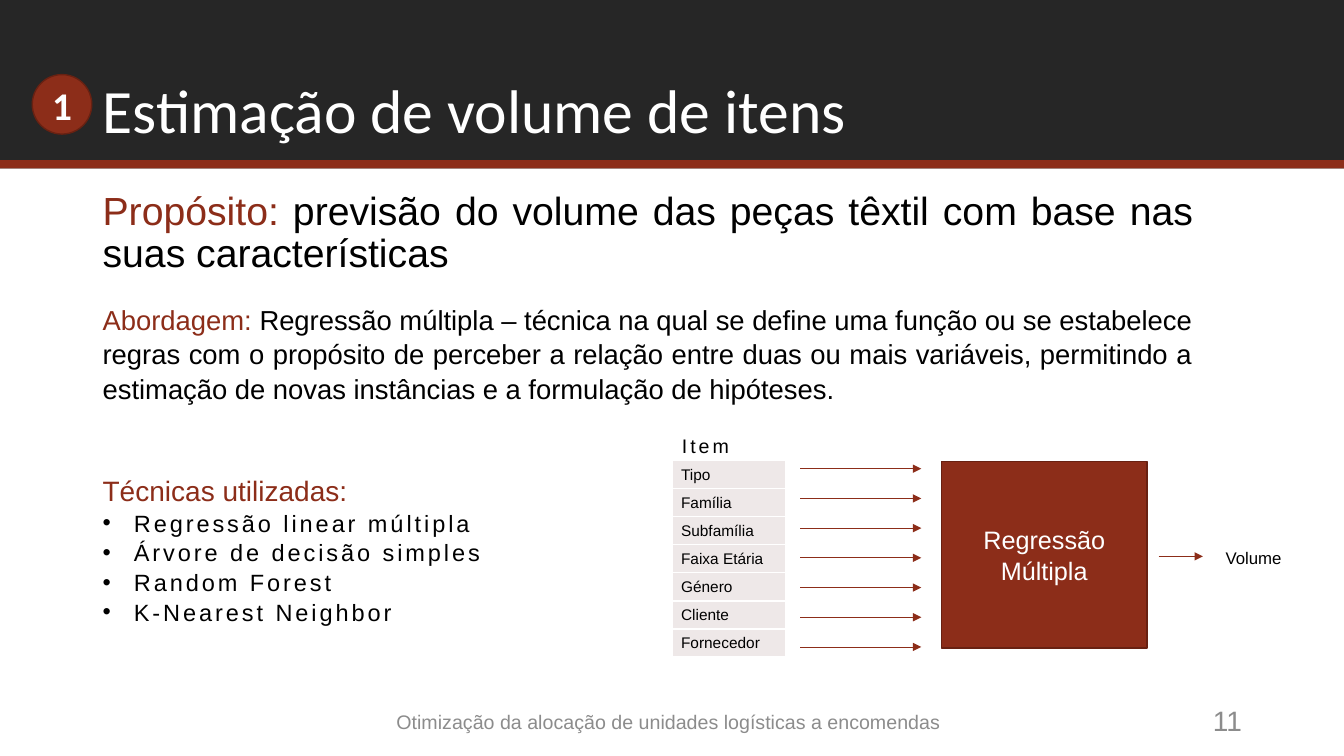
from lxml import etree
from pptx import Presentation
from pptx.dml.color import RGBColor
from pptx.enum.shapes import MSO_CONNECTOR, MSO_SHAPE
from pptx.enum.text import MSO_ANCHOR, PP_ALIGN
from pptx.oxml.ns import qn
from pptx.util import Inches, Pt

RECTANGLE, OVAL = MSO_SHAPE.RECTANGLE, MSO_SHAPE.OVAL
STRAIGHT = MSO_CONNECTOR.STRAIGHT
LEFT, CENTER, RIGHT, JUSTIFY = PP_ALIGN.LEFT, PP_ALIGN.CENTER, PP_ALIGN.RIGHT, PP_ALIGN.JUSTIFY
TOP, MIDDLE, BOTTOM = MSO_ANCHOR.TOP, MSO_ANCHOR.MIDDLE, MSO_ANCHOR.BOTTOM

BRICK, BRICK_EDGE, CHARCOAL = "8C2D19", "682112", "262626"
GRAY, PALE, BLACK, WHITE = "8C8C8C", "EEE8E8", "000000", "FFFFFF"

TECHNIQUES = ["Regressão linear múltipla", "Árvore de decisão simples",
              "Random Forest", "K-Nearest Neighbor"]
ITEM_FIELDS = ["Tipo", "Família", "Subfamília", "Faixa Etária",
               "Género", "Cliente", "Fornecedor"]


def color(value):
    return RGBColor.from_string(value)


class SlideBuilder:
    """Places styled elements on a slide divided into 100 columns and 100 rows."""

    def __init__(self, deck):
        self.slide = deck.slides.add_slide(deck.slide_layouts[6])
        self.shapes = self.slide.shapes
        self.column = deck.slide_width / 100
        self.row = deck.slide_height / 100

    def grid(self, left, top, width, height):
        return (round(left * self.column), round(top * self.row),
                round(width * self.column), round(height * self.row))

    def add_spans(self, para, spans, size, font="Arial", align=LEFT, line_spacing=None,
                  bold=False, tracking=None):
        """Fill a paragraph with (text, colour) spans that share one style."""
        para.alignment = align
        if line_spacing:
            para.line_spacing = line_spacing
        for text, shade in spans:
            span = para.add_run()
            span.text = text
            span.font.size = Pt(size)
            span.font.name = font
            span.font.bold = bold
            span.font.color.rgb = color(shade)
            if tracking:
                span._r.get_or_add_rPr().set("spc", str(round(tracking * 100)))

    def text(self, area, spans, size, anchor=TOP, wrap=True, **style):
        box = self.shapes.add_textbox(*self.grid(*area))
        box.text_frame.word_wrap = wrap
        box.text_frame.vertical_anchor = anchor
        self.add_spans(box.text_frame.paragraphs[0], spans, size, **style)
        return box

    def bullets(self, box, items, size, **style):
        for item in items:
            para = box.text_frame.add_paragraph()
            self.add_spans(para, [(item, BLACK)], size, **style)
            properties = para._p.get_or_add_pPr()
            properties.set("marL", str(Inches(0.31)))
            properties.set("indent", str(-Inches(0.31)))
            etree.SubElement(properties, qn("a:buFont")).set("typeface", "Arial")
            etree.SubElement(properties, qn("a:buChar")).set("char", "•")

    def shape(self, kind, area, fill, edge=None, label=None, size=18, **style):
        shape = self.shapes.add_shape(kind, *self.grid(*area))
        shape.shadow.inherit = False
        shape.fill.solid()
        shape.fill.fore_color.rgb = color(fill)
        if edge:
            shape.line.color.rgb = color(edge)
            shape.line.width = Pt(1)
        else:
            shape.line.fill.background()
        if label:
            shape.text_frame.vertical_anchor = MIDDLE
            self.add_spans(shape.text_frame.paragraphs[0], [(label, WHITE)], size,
                           align=CENTER, **style)

    def arrow(self, start, end, level):
        left, top, width, _ = self.grid(start, level, end - start, 0)
        arrow = self.shapes.add_connector(STRAIGHT, left, top, left + width, top)
        arrow.line.color.rgb = color(BRICK)
        arrow.line.width = Pt(0.5)
        properties = arrow._element.spPr
        outline = properties.find(qn("a:ln"))
        etree.SubElement(outline, qn("a:tailEnd")).set("type", "triangle")
        etree.SubElement(properties, qn("a:effectLst"))

    def list_table(self, area, labels, size):
        table = self.shapes.add_table(len(labels), 1, *self.grid(*area)).table
        table.first_row = table.horz_banding = False
        for index, label in enumerate(labels):
            cell = table.cell(index, 0)
            cell.fill.solid()
            cell.fill.fore_color.rgb = color(PALE)
            cell.vertical_anchor = BOTTOM
            cell.margin_left, cell.margin_bottom = Inches(0.09), Inches(0.05)
            cell.margin_top = cell.margin_right = Inches(0.01)
            self.add_spans(cell.text_frame.paragraphs[0], [(label, BLACK)], size)


def main():
    deck = Presentation()
    deck.slide_width, deck.slide_height = Inches(13.33), Inches(7.5)
    page = SlideBuilder(deck)

    # Header
    page.shape(RECTANGLE, (0, 0, 100, 22.27), CHARCOAL)
    page.text((6.9, 5.33, 86.25, 19.33), [("Estimação de volume de itens", WHITE)], 44,
              anchor=MIDDLE, font="Calibri", line_spacing=0.9)
    page.shape(RECTANGLE, (0, 21.2, 100, 1.07), BRICK)
    page.shape(OVAL, (2.4, 9.87, 4.43, 7.87), BRICK, BRICK_EDGE, "1", 28,
               font="Calibri", bold=True)

    # Purpose, approach and techniques
    page.text((6.9, 24.67, 82.6, 13.47),
              [("Propósito: ", BRICK),
               ("previsão do volume das peças têxtil com base nas suas características", BLACK)],
              28, align=JUSTIFY, line_spacing=0.9)
    page.text((6.9, 39.2, 82.6, 14.67),
              [("Abordagem: ", BRICK),
               ("Regressão múltipla – técnica na qual se define uma função ou se estabelece "
                "regras com o propósito de perceber a relação entre duas ou mais variáveis, "
                "permitindo a estimação de novas instâncias e a formulação de hipóteses.", BLACK)],
              19.6, align=JUSTIFY, line_spacing=1.05)
    techniques = page.text((6.9, 62, 30.08, 27.2), [("Técnicas utilizadas:", BRICK)], 20,
                           wrap=False)
    page.bullets(techniques, TECHNIQUES, 16.8, tracking=2.1, line_spacing=1.05)

    # Regression diagram
    page.text((50, 56.8, 8.48, 4.53), [("Item", BLACK)], 14, tracking=2.1)
    page.list_table((50, 60.93, 8.48, 26), ITEM_FIELDS, 11)
    for index in range(len(ITEM_FIELDS)):
        page.arrow(59.55, 68.55, 62 + 3.93 * index)
    page.shape(RECTANGLE, (70.05, 61.07, 15.3, 24.67), BRICK, BRICK_EDGE, "Regressão Múltipla")
    page.arrow(86.2, 89.5, 73.6)
    page.text((90.45, 71.73, 5.7, 4), [("Volume", BLACK)], 12, wrap=False)

    # Footer
    page.text((18.7, 92.8, 62.1, 5.33),
              [("Otimização da alocação de unidades logísticas a encomendas", GRAY)], 14,
              anchor=MIDDLE, align=CENTER)
    page.text((70.65, 92.67, 22.5, 5.33), [("11", GRAY)], 20, anchor=MIDDLE, align=RIGHT)

    deck.save("out.pptx")


if __name__ == "__main__":
    main()
